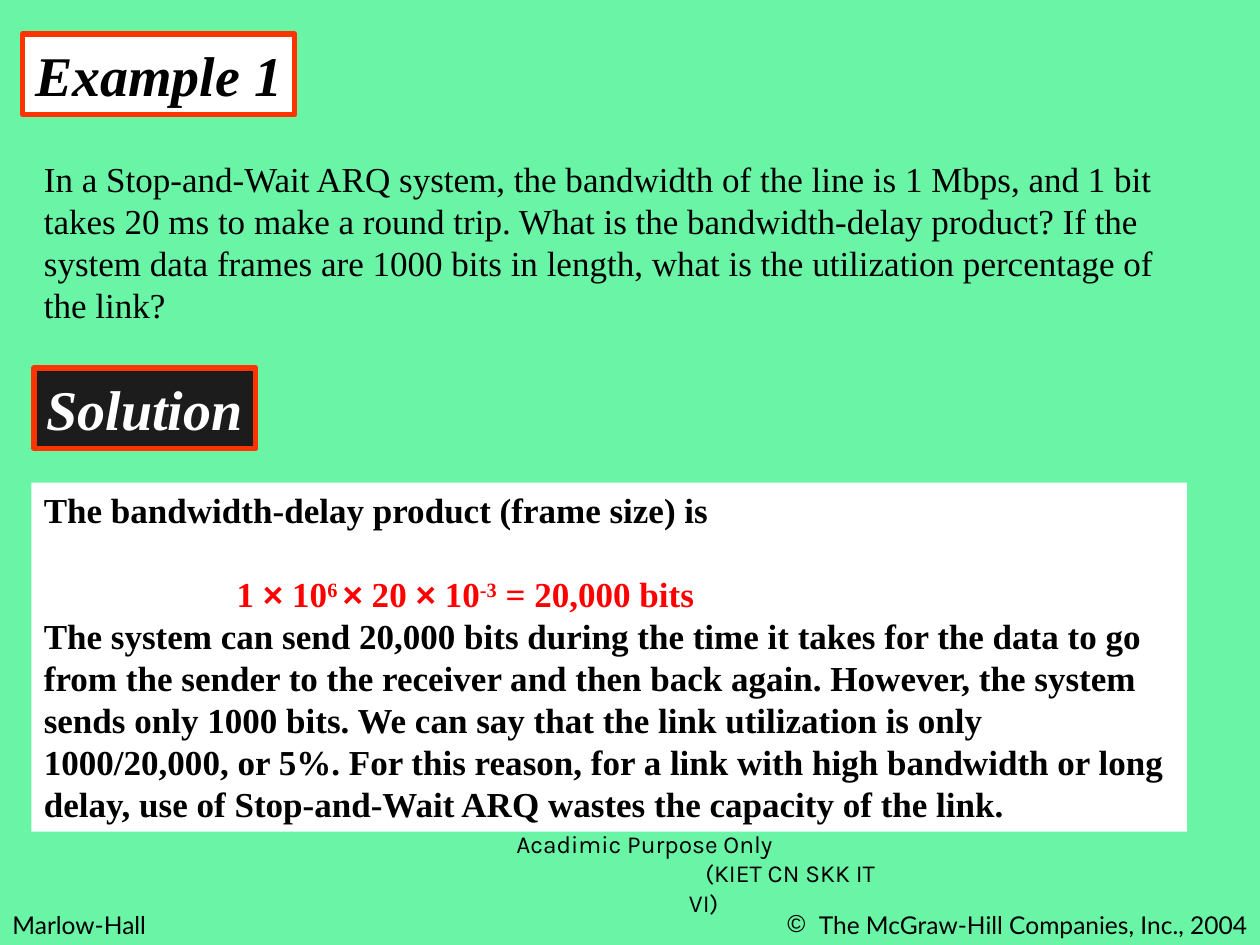
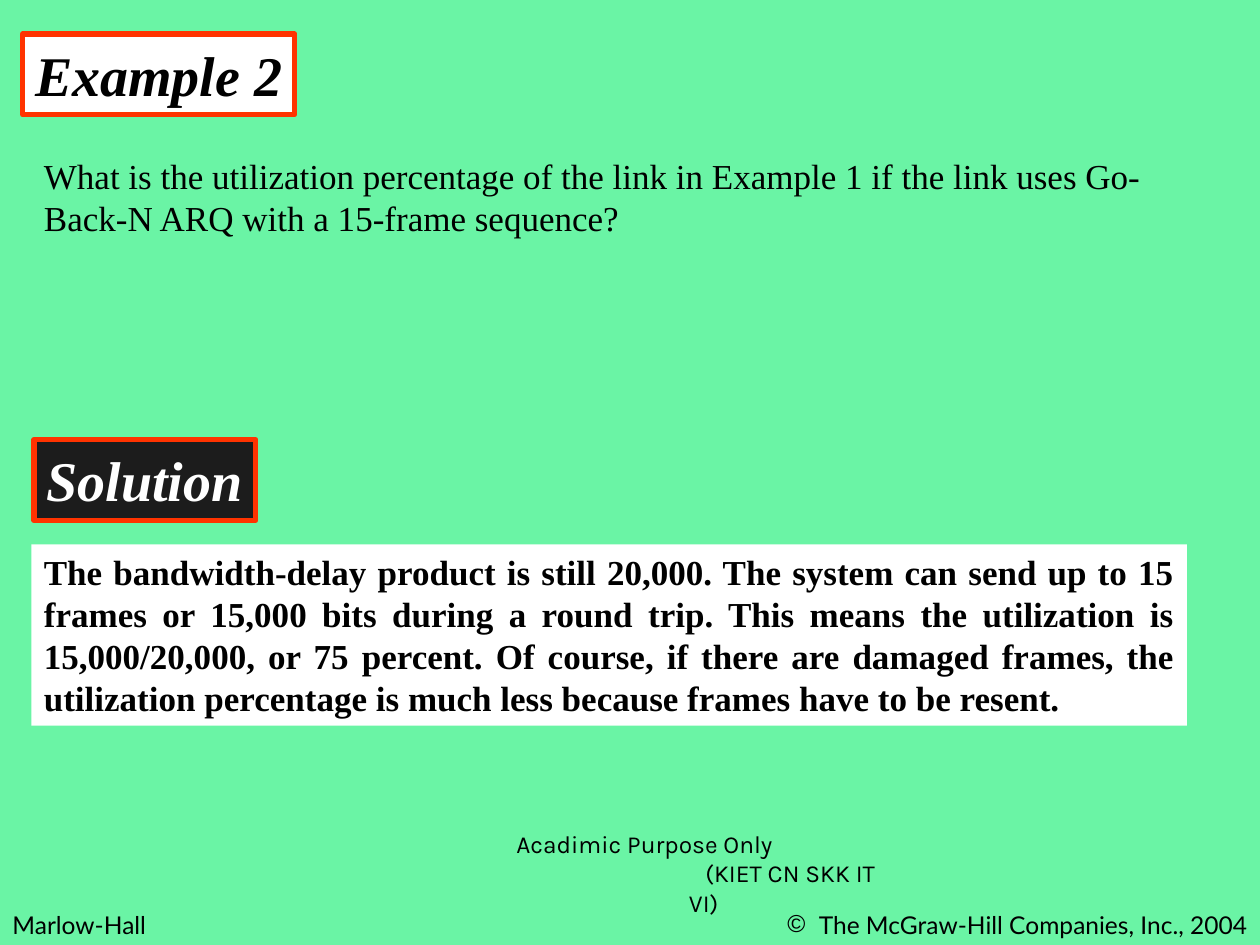
from dataclasses import dataclass

from lxml import etree
from pptx import Presentation
from pptx.dml.color import RGBColor
from pptx.enum.shapes import MSO_SHAPE
from pptx.enum.text import MSO_ANCHOR, PP_ALIGN
from pptx.oxml.ns import qn
from pptx.util import Inches, Pt

RECT = MSO_SHAPE.RECTANGLE
TOP, BOTTOM = MSO_ANCHOR.TOP, MSO_ANCHOR.BOTTOM
LEFT, CENTER, RIGHT, JUSTIFY = PP_ALIGN.LEFT, PP_ALIGN.CENTER, PP_ALIGN.RIGHT, PP_ALIGN.JUSTIFY


@dataclass(frozen=True)
class Theme:
    background: str = "6AF4A5"
    white: str = "FFFFFF"
    black: str = "000000"
    dark: str = "1C1C1C"
    border: str = "FF3300"
    accent: str = "FF0000"
    serif: str = "Times New Roman"
    symbol: str = "Arial"
    footer: str = "Lato"
    notice: str = "Karla"
    heading_size: int = 32
    body_size: int = 20
    footer_size: int = 14
    leading: float = 1.2


THEME = Theme()


@dataclass(frozen=True)
class Style:
    size: int
    font: str = THEME.serif
    color: str = THEME.black
    bold: bool = False
    italic: bool = False


@dataclass(frozen=True)
class Run:
    text: str
    font: str | None = None
    raised: bool = False


@dataclass(frozen=True)
class Para:
    runs: tuple[Run, ...]
    style: Style
    align: PP_ALIGN = LEFT
    indent: float = 0
    before: float = 0
    bullet: str = ""


@dataclass(frozen=True)
class Box:
    left: float
    top: float
    width: float
    height: float
    fill: str | None = None
    line: str | None = None
    wrap: bool = True
    anchor: MSO_ANCHOR = TOP


@dataclass(frozen=True)
class Example:
    title: str
    question: str
    question_top: float
    question_height: float
    solution_top: float
    answer_top: float
    answer_height: float
    answer: tuple[Para, ...]


HEADING = Style(THEME.heading_size, bold=True, italic=True)
HEADING_LIGHT = Style(THEME.heading_size, color=THEME.white, bold=True, italic=True)
QUESTION = Style(THEME.body_size)
ANSWER = Style(THEME.body_size, bold=True)
FORMULA = Style(THEME.body_size, color=THEME.accent, bold=True)
FOOTER = Style(THEME.footer_size, THEME.footer)
NOTICE = Style(THEME.footer_size, THEME.notice)
TIMES = Run("×", font=THEME.symbol)


def para(text: str, style: Style, **options) -> Para:
    return Para((Run(text),), style, **options)


EXAMPLES = (
    Example(
        "Example 1",
        "In a Stop-and-Wait ARQ system, the bandwidth of the line is 1 Mbps, and 1 bit "
        "takes 20 ms to make a round trip. What is the bandwidth-delay product? If the "
        "system data frames are 1000 bits in length, what is the utilization percentage "
        "of the link?",
        1.2, 1.44, 2.92, 3.83, 2.77,
        (
            para("The bandwidth-delay product (frame size) is", ANSWER),
            Para(
                (Run("1 "), TIMES, Run(" 10"), Run("6 ", raised=True), TIMES, Run(" 20 "),
                 TIMES, Run(" 10"), Run("-3", raised=True), Run(" = 20,000 bits")),
                FORMULA, indent=1.53, before=THEME.body_size * THEME.leading,
            ),
            para(
                "The system can send 20,000 bits during the time it takes for the data to go "
                "from the sender to the receiver and then back again. However, the system "
                "sends only 1000 bits. We can say that the link utilization is only "
                "1000/20,000, or 5%. For this reason, for a link with high bandwidth or long "
                "delay, use of Stop-and-Wait ARQ wastes the capacity of the link.", ANSWER),
        ),
    ),
    Example(
        "Example 2",
        "What is the utilization percentage of the link in Example 1 if the link uses "
        "Go-Back-N ARQ with a 15-frame sequence?",
        1.18, 0.77, 3.49, 4.32, 1.44,
        (
            para(
                "The bandwidth-delay product is still 20,000. The system can send up to 15 "
                "frames or 15,000 bits during a round trip. This means the utilization is "
                "15,000/20,000, or 75 percent. Of course, if there are damaged frames, the "
                "utilization percentage is much less because frames have to be resent.",
                ANSWER, align=JUSTIFY),
        ),
    ),
)

FOOTERS = (
    (Box(0, 7.17, 2.42, 0.34), (para("Marlow-Hall", FOOTER),)),
    (Box(5, 7.17, 5, 0.34),
     (para("The McGraw-Hill Companies, Inc., 2004", FOOTER, align=RIGHT, bullet="©"),)),
    (Box(4, 6.83, 3.17, 0.5, anchor=BOTTOM),
     (para("Acadimic Purpose Only", NOTICE),
      para("(KIET CN SKK IT", NOTICE, indent=1.5),
      para("VI)", NOTICE, align=CENTER))),
)


def add_bullet(p, char: str) -> None:
    pPr = p._p.get_or_add_pPr()
    pPr.set("marL", str(Inches(0.25)))
    pPr.set("indent", str(-Inches(0.25)))
    etree.SubElement(pPr, qn("a:buFont")).set("typeface", THEME.symbol)
    etree.SubElement(pPr, qn("a:buChar")).set("char", char)


def write_para(p, para_: Para) -> None:
    style = para_.style
    p.alignment = para_.align
    if para_.indent:
        p._p.get_or_add_pPr().set("marL", str(Inches(para_.indent)))
    if para_.bullet:
        add_bullet(p, para_.bullet)
    if style.font == THEME.serif:
        p.line_spacing = Pt(style.size * THEME.leading)
    if para_.before:
        p.space_before = Pt(para_.before)
    for run in para_.runs:
        r = p.add_run()
        r.text = run.text
        r.font.name = run.font or style.font
        r.font.size = Pt(style.size)
        r.font.bold = style.bold
        r.font.italic = style.italic
        r.font.color.rgb = RGBColor.from_string(style.color)
        if run.raised:
            r.font._element.set("baseline", "30000")


def add_box(s, box: Box, paras: tuple[Para, ...]) -> None:
    bounds = [Inches(v) for v in (box.left, box.top, box.width, box.height)]
    if box.fill:
        sp = s.shapes.add_shape(RECT, *bounds)
        sp.shadow.inherit = False
        sp.fill.solid()
        sp.fill.fore_color.rgb = RGBColor.from_string(box.fill)
        if box.line:
            sp.line.color.rgb = RGBColor.from_string(box.line)
            sp.line.width = Pt(3)
        else:
            sp.line.fill.background()
    else:
        sp = s.shapes.add_textbox(*bounds)
    tf = sp.text_frame
    tf.word_wrap = box.wrap
    tf.vertical_anchor = box.anchor
    for i, para_ in enumerate(paras):
        write_para(tf.add_paragraph() if i else tf.paragraphs[0], para_)


def add_example(prs, example: Example) -> None:
    s = prs.slides.add_slide(prs.slide_layouts[6])
    s.background.fill.solid()
    s.background.fill.fore_color.rgb = RGBColor.from_string(THEME.background)
    for box, paras in FOOTERS[:2]:
        add_box(s, box, paras)
    add_box(s, Box(0.18, 0.27, 2.16, 0.64, THEME.white, THEME.border, wrap=False),
            (para(example.title, HEADING),))
    add_box(s, Box(0.25, example.question_top, 9.25, example.question_height),
            (para(example.question, QUESTION),))
    add_box(s, Box(0.27, example.solution_top, 1.76, 0.64, THEME.dark, THEME.border, wrap=False),
            (para("Solution", HEADING_LIGHT),))
    add_box(s, Box(0.25, example.answer_top, 9.17, example.answer_height, THEME.white),
            example.answer)
    add_box(s, *FOOTERS[2])


def main() -> None:
    prs = Presentation()
    prs.slide_width, prs.slide_height = Inches(10), Inches(7.5)
    for example in EXAMPLES:
        add_example(prs, example)
    prs.save("out.pptx")


if __name__ == "__main__":
    main()
